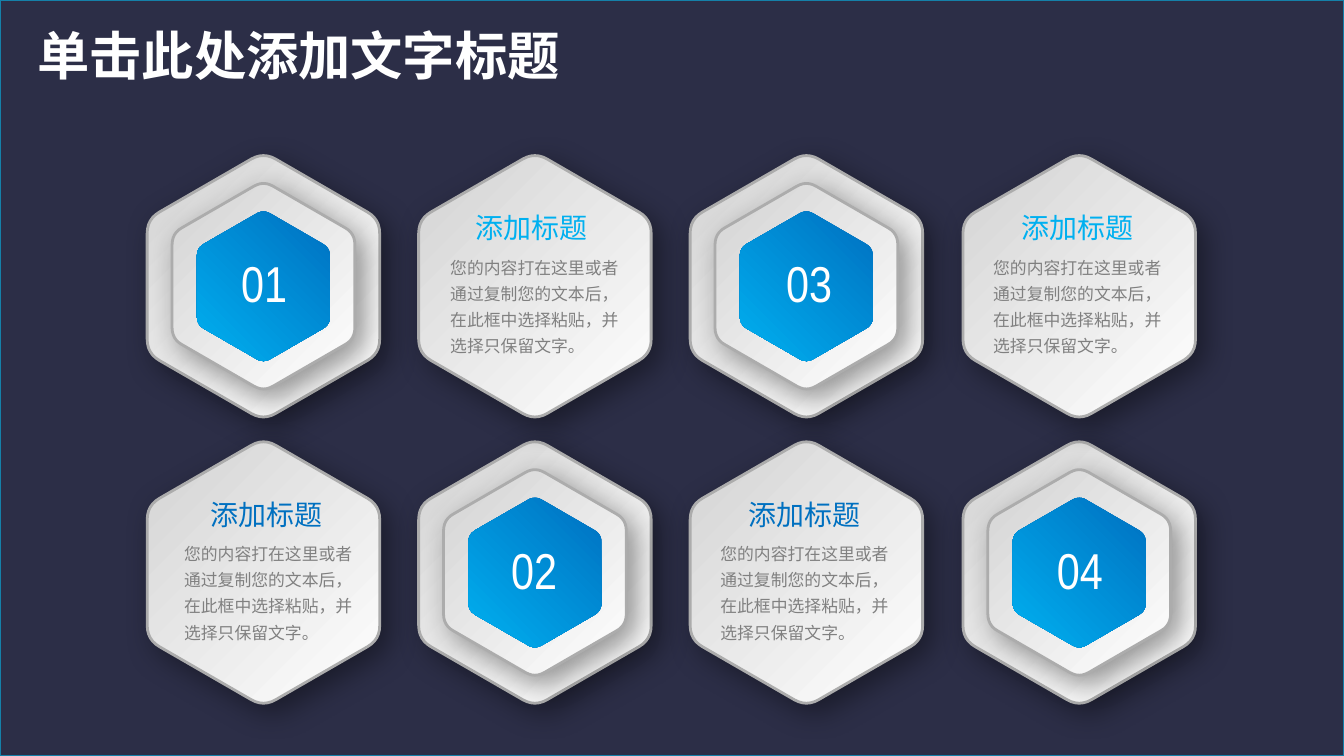
"""Build a slide of numbered and captioned hexagons."""
from math import cos, pi, sin, sqrt

from lxml import etree
from pptx import Presentation
from pptx.dml.color import RGBColor
from pptx.enum.shapes import MSO_SHAPE
from pptx.enum.text import MSO_ANCHOR, PP_ALIGN
from pptx.oxml.ns import qn
from pptx.util import Inches, Pt

RECT = MSO_SHAPE.RECTANGLE
TOP = MSO_ANCHOR.TOP
LEFT, CENTER = PP_ALIGN.LEFT, PP_ALIGN.CENTER
HEX = {
    "navy": "2C2E47", "edge": "1580A9", "white": "FFFFFF", "silver": "D3D3D3",
    "rim": "ACACAC", "blue": "0070C0", "sky": "00B0F0", "gray": "808080",
    "black": "000000",
}
SANS, SLIM = "Noto Sans CJK SC", "Arial Narrow"
COLS = (1.96, 3.98, 6, 8.03)
ROWS = (2.13, 4.26)
BADGES = (
    ("01", 0, 0, 1.65, 0.63),
    ("02", 1, 1, 3.66, 0.63),
    ("03", 2, 0, 5.63, 0.78),
    ("04", 3, 1, 7.72, 0.63),
)
CARDS = (
    (2, 1, 5.47, 5.3, "blue"),
    (0, 1, 1.47, 1.31, "blue"),
    (1, 0, 3.44, 3.29, "sky"),
    (3, 0, 7.5, 7.33, "sky"),
)
HEAD = "添加标题"
BODY = "您的内容打在这里或者通过复制您的文本后，在此框中选择粘贴，并选择只保留文字。"


def color(name):
    return RGBColor.from_string(HEX[name])


def write(frame, text, size, face, tint, align=LEFT, space=None):
    para = frame.paragraphs[0]
    para.text = text
    para.alignment = align
    para.line_spacing = space
    font = para.font
    font.size = Pt(size)
    font.name = face
    font.color.rgb = color(tint)
    east = etree.SubElement(para._p.pPr.find(qn("a:defRPr")), qn("a:ea"))
    east.set("typeface", face)
    return font


def label(slide, box, text, *style, **more):
    frame = slide.shapes.add_textbox(*map(Inches, box)).text_frame
    frame.word_wrap = True
    write(frame, text, *style, **more)
    return frame


def outline(x, y, width):
    """Return the points of a hexagon with rounded corners."""
    side, cut, steps = width / sqrt(3), 0.105, 6
    tips = [(x + side * cos(k * pi / 3), y + side * sin(k * pi / 3))
            for k in range(6)]
    points = []
    for k, tip in enumerate(tips):
        ends = tips[k - 1], tips[(k + 1) % 6]
        for step in range(steps + 1):
            t = step / steps
            near, far = cut * (1 - t) ** 2, cut * t ** 2
            points.append(tuple(
                Inches(c + near * (a - c) + far * (b - c))
                for a, b, c in zip(*ends, tip)))
    return points


def hexagon(slide, x, y, width, tints, angle):
    first, *rest = outline(x, y, width)
    pen = slide.shapes.build_freeform(*first)
    pen.add_line_segments(rest, close=True)
    shape = pen.convert_to_shape()
    shape.rotation = 90
    shape.fill.gradient()
    shape.fill.gradient_angle = 360 - angle
    for stop, tint, place in zip(shape.fill.gradient_stops, tints, (0, 1)):
        stop.color.rgb = color(tint)
        stop.position = place
    shape.line.fill.background()
    shape.shadow.inherit = False
    return shape


def shade(shape):
    """Add a soft shadow to the lower right."""
    effects = shape.element.spPr.find(qn("a:effectLst"))
    cast = etree.SubElement(
        effects, qn("a:outerShdw"), blurRad=str(Pt(16)), dist=str(Pt(6)),
        dir="2700000", algn="tl", rotWithShape="0")
    tone = etree.SubElement(cast, qn("a:srgbClr"), val=HEX["black"])
    etree.SubElement(tone, qn("a:alpha"), val="40000")


def plate(slide, x, y, width):
    shape = hexagon(slide, x, y, width, ("white", "silver"), 135)
    shape.line.color.rgb = color("rim")
    shape.line.width = Pt(1.5)
    shade(shape)


def badge(slide, text, x, y, left, width):
    for size in (1.73, 1.36):
        plate(slide, x, y, size)
    hexagon(slide, x, y, 0.99, ("blue", "sky"), 45)
    label(slide, (left, y - 0.3, width, 0.56), text,
          27, SLIM, "white", align=CENTER)


def card(slide, x, y, head, body, tint):
    plate(slide, x, y, 1.73)
    label(slide, (head, y - 0.61, 1.05, 0.35), HEAD, 15, SANS, tint)
    frame = label(slide, (body, y - 0.29, 1.39, 0.84), BODY,
                  9, SANS, "gray", space=1.3)
    frame.margin_left = frame.margin_right = Inches(0.06)
    frame.margin_top = frame.margin_bottom = Inches(0.03)


def backdrop(slide, deck):
    shape = slide.shapes.add_shape(
        RECT, 0, 0, deck.slide_width, deck.slide_height)
    shape.shadow.inherit = False
    shape.fill.solid()
    shape.fill.fore_color.rgb = color("navy")
    shape.line.color.rgb = color("edge")
    shape.line.width = Pt(1)
    slide.shapes.element.insert(2, shape.element)


def heading(slide, text):
    title = slide.shapes.title
    title.left, title.top = Inches(0.18), Inches(0.12)
    title.width, title.height = Inches(4.13), Inches(0.57)
    frame = title.text_frame
    frame.word_wrap = False
    frame.vertical_anchor = TOP
    write(frame, text, 28, SANS, "white").bold = True


def main():
    deck = Presentation()
    deck.slide_width = Inches(10)
    deck.slide_height = deck.slide_width * 9 // 16
    slide = deck.slides.add_slide(deck.slide_layouts[5])
    backdrop(slide, deck)
    heading(slide, "单击此处添加文字标题")
    for text, col, row, left, width in BADGES:
        badge(slide, text, COLS[col], ROWS[row], left, width)
    for col, row, head, body, tint in CARDS:
        card(slide, COLS[col], ROWS[row], head, body, tint)
    deck.save("out.pptx")


if __name__ == "__main__":
    main()
